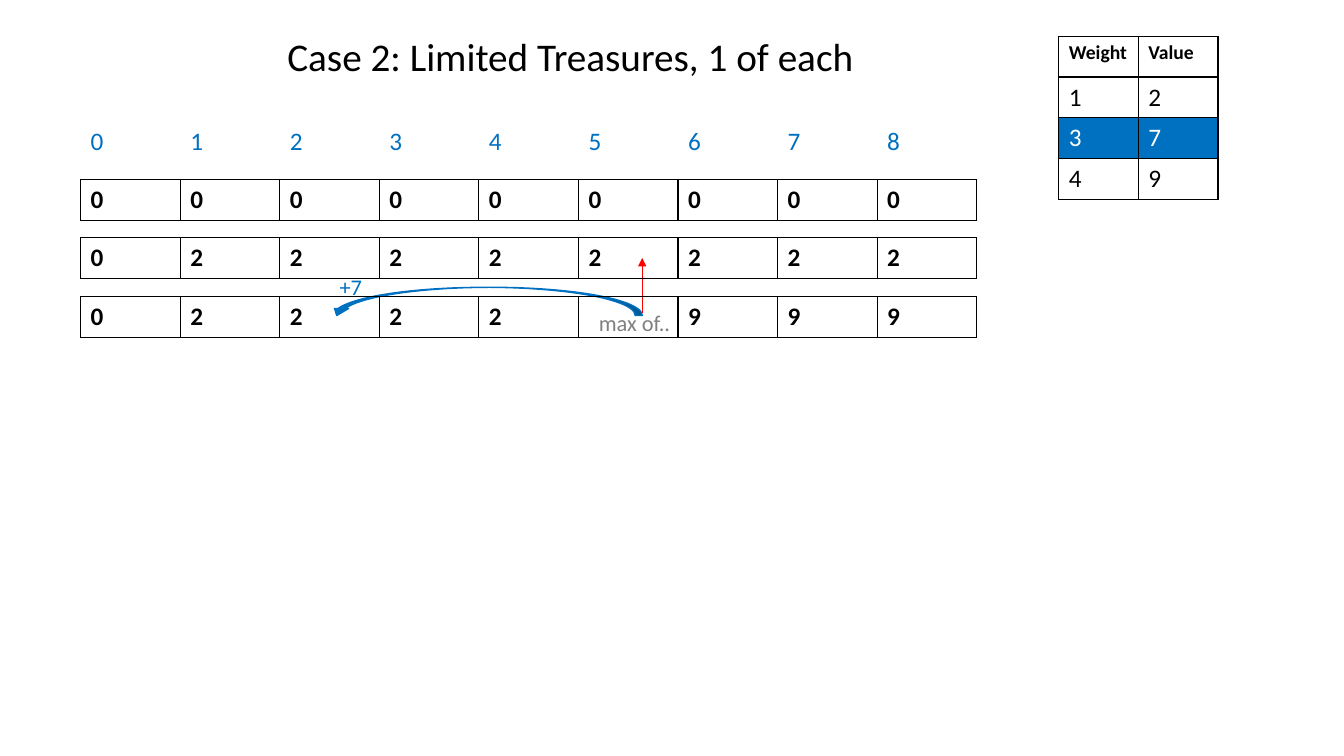
from pptx import Presentation
from pptx.dml.color import RGBColor
from pptx.enum.shapes import MSO_CONNECTOR, MSO_SHAPE
from pptx.enum.text import MSO_ANCHOR, MSO_AUTO_SIZE, PP_ALIGN
from pptx.oxml.ns import qn
from pptx.util import Inches, Pt
from lxml.etree import SubElement

BLACK, WHITE, BLUE, RED, GREY = "000000", "FFFFFF", "0070C0", "FF0000", "808080"
ROW_HEIGHT = 0.405
ROW_LEFT, ROW_TOP, ROW_WIDTH, ROW_STEP = 0.8, 1.2, 8.89, 0.58

MAX_VALUES = [
    ["0"] * 9,
    ["0"] + ["2"] * 8,
    ["0", "2", "2", "2", "2", "", "9", "9", "9"],
]
TREASURES = [["Weight", "Value"], ["1", "2"], ["3", "7"], ["4", "9"]]
CHOSEN_TREASURE = 2


def rgb(color):
    return RGBColor.from_string(color)


def set_font(paragraph, size, color, bold=False):
    font = paragraph.font
    font.name, font.size, font.bold = "Calibri", Pt(size), bold
    font.color.rgb = rgb(color)


def fill_text_frame(frame, text, size, color):
    frame.word_wrap = False
    frame.auto_size = MSO_AUTO_SIZE.SHAPE_TO_FIT_TEXT
    frame.vertical_anchor = MSO_ANCHOR.TOP
    frame.text = text
    paragraph = frame.paragraphs[0]
    paragraph.alignment = PP_ALIGN.LEFT
    set_font(paragraph, size, color)


def add_label(slide, text, left, top, width, color):
    label = slide.shapes.add_textbox(
        Inches(left), Inches(top), Inches(width), Inches(0.37))
    fill_text_frame(label.text_frame, text, 16, color)


def set_borders(cell, color):
    """Draw all four cell borders, or none when color is None."""
    properties = cell._tc.get_or_add_tcPr()
    for position, side in enumerate(("a:lnL", "a:lnR", "a:lnT", "a:lnB")):
        border = properties.makeelement(qn(side), {"w": str(Pt(1))})
        properties.insert(position, border)
        if color is None:
            SubElement(border, qn("a:noFill"))
        else:
            solid = SubElement(border, qn("a:solidFill"))
            SubElement(solid, qn("a:srgbClr"), val=color)


def add_grid(slide, rows, left, top, width, border=BLACK):
    """Add an unfilled table and return it."""
    table = slide.shapes.add_table(
        len(rows), len(rows[0]), Inches(left), Inches(top),
        Inches(width), Inches(ROW_HEIGHT * len(rows))).table
    table.first_row = table.horz_banding = False
    for r, row in enumerate(rows):
        for c, text in enumerate(row):
            cell = table.cell(r, c)
            cell.text = text
            cell.fill.background()
            set_borders(cell, border)
    return table


def add_number_row(slide, index, values, color, bold, border):
    table = add_grid(slide, [values], ROW_LEFT, ROW_TOP + index * ROW_STEP,
                     ROW_WIDTH, border)
    for cell in table.iter_cells():
        set_font(cell.text_frame.paragraphs[0], 18, color, bold)


def add_treasure_table(slide):
    table = add_grid(slide, TREASURES, 10.5, 0.36, 1.58)
    for r in range(len(TREASURES)):
        header, chosen = r == 0, r == CHOSEN_TREASURE
        for cell in table.rows[r].cells:
            set_font(cell.text_frame.paragraphs[0], 14 if header else 18,
                     WHITE if chosen else BLACK, header)
            if chosen:
                cell.fill.solid()
                cell.fill.fore_color.rgb = rgb(BLUE)


def add_up_arrow(slide, x, bottom, top):
    arrow = slide.shapes.add_connector(
        MSO_CONNECTOR.STRAIGHT, Inches(x), Inches(bottom), Inches(x), Inches(top))
    arrow.line.color.rgb = rgb(RED)
    arrow.line.width = Pt(1)
    SubElement(arrow.line._get_or_add_ln(), qn("a:tailEnd"), type="triangle")
    SubElement(arrow._element.spPr, qn("a:effectLst"))


def add_jump_back(slide, left, top, width, height):
    jump = slide.shapes.add_shape(
        MSO_SHAPE.CURVED_UP_ARROW, Inches(left), Inches(top),
        Inches(width), Inches(height))
    jump.rotation = 180
    jump.shadow.inherit = False
    jump.fill.solid()
    jump.fill.fore_color.rgb = rgb(BLUE)
    jump.line.color.rgb = rgb(BLUE)
    jump.line.width = Pt(1)


def add_title(slide, text):
    title = slide.shapes.title
    title.left, title.top = Inches(2.75), Inches(0.27)
    title.width, title.height = Inches(5.88), Inches(0.57)
    fill_text_frame(title.text_frame, text, 28, BLACK)


def main():
    deck = Presentation()
    deck.slide_width, deck.slide_height = Inches(13.33), Inches(7.5)
    slide = deck.slides.add_slide(deck.slide_layouts[5])

    add_title(slide, "Case 2: Limited Treasures, 1 of each")
    add_up_arrow(slide, 6.37, 3.11, 2.56)
    add_label(slide, "+7", 3.27, 2.66, 0.43, BLUE)
    add_label(slide, "max of..", 5.84, 3.02, 2.11, GREY)
    add_jump_back(slide, 3.27, 2.85, 3.1, 0.28)

    capacities = [str(capacity) for capacity in range(9)]
    add_number_row(slide, 0, capacities, BLUE, False, None)
    for index, values in enumerate(MAX_VALUES, start=1):
        add_number_row(slide, index, values, BLACK, True, BLACK)
    add_treasure_table(slide)

    deck.save("out.pptx")


if __name__ == "__main__":
    main()
